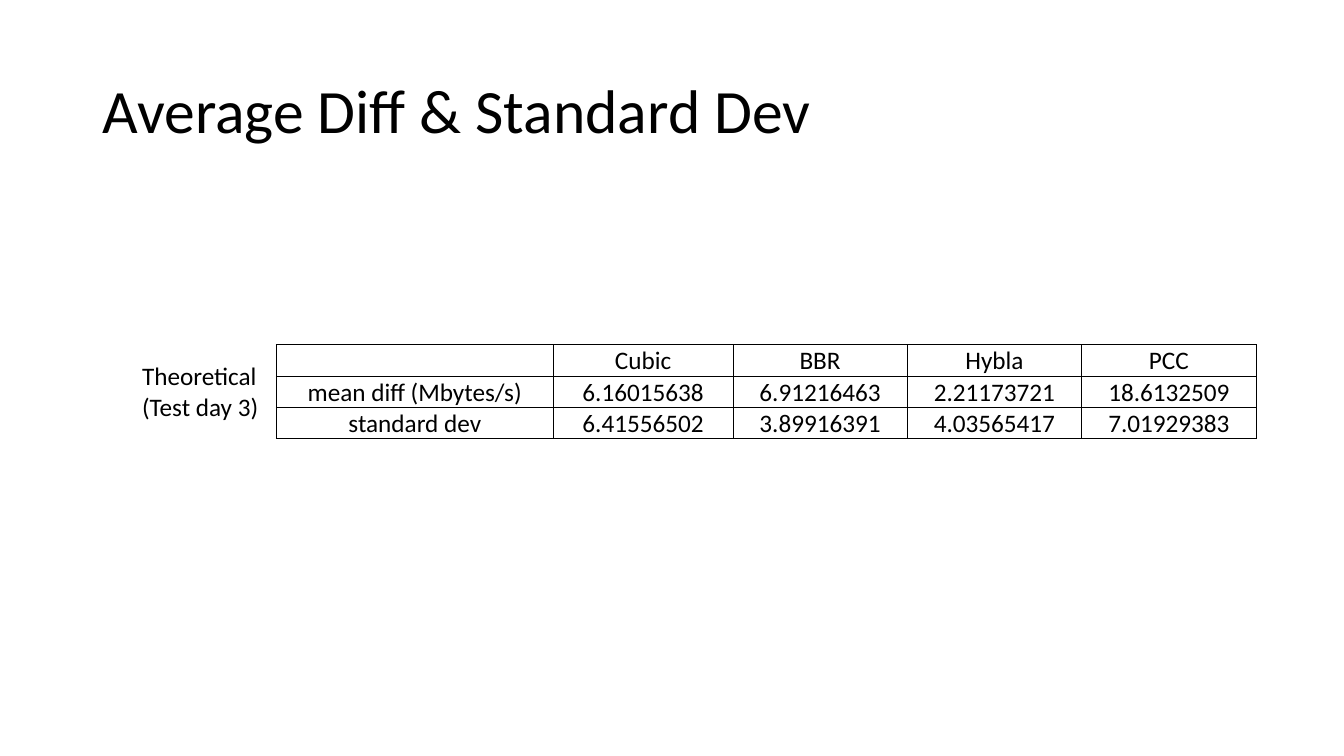
from pptx import Presentation
from pptx.dml.color import RGBColor as Rgb
from pptx.enum.text import MSO_ANCHOR as Anchor, PP_ALIGN as Align
from pptx.oxml import parse_xml
from pptx.oxml.ns import nsdecls
from pptx.util import Inches, Pt

HUES = {"ink": "000000", "back": "FFFFFF"}
FONT = "Calibri"


def write(frame, text, size=18, align=Align.LEFT, anchor=Anchor.TOP, lead=1.0):
    """Fill a text frame, one paragraph for each line of text."""
    frame.word_wrap = True
    frame.vertical_anchor = anchor
    frame.text = text
    for para in frame.paragraphs:
        para.alignment = align
        para.line_spacing = lead
        para.font.name = FONT
        para.font.size = Pt(size)
        para.font.bold = False
        para.font.color.rgb = Rgb.from_string(HUES["ink"])


def frame_cell(cell, width=0.5):
    """Draw a thin solid line on each side of a cell."""
    props = cell._tc.get_or_add_tcPr()
    for spot, side in enumerate("LRTB"):
        props.insert(spot, parse_xml(
            f'<a:ln{side} {nsdecls("a")} w="{Pt(width)}"><a:solidFill>'
            f'<a:srgbClr val="{HUES["ink"]}"/></a:solidFill></a:ln{side}>'))


class Page:
    """Hold the slide and place elements by percent of its size."""

    def __init__(self, deck):
        """Add a blank slide with a plain background."""
        self.wide, self.high = deck.slide_width, deck.slide_height
        self.slide = deck.slides.add_slide(deck.slide_layouts[6])
        fill = self.slide.background.fill
        fill.solid()
        fill.fore_color.rgb = Rgb.from_string(HUES["back"])

    def across(self, share):
        """Turn a percent of the width into a length."""
        return int(self.wide * share / 100)

    def down(self, share):
        """Turn a percent of the height into a length."""
        return int(self.high * share / 100)

    def text(self, words, left, top, width, height, **style):
        """Add a text box."""
        box = self.slide.shapes.add_textbox(
            self.across(left), self.down(top),
            self.across(width), self.down(height))
        write(box.text_frame, words, **style)

    def table(self, data, left, top, cols, row):
        """Add a ruled table with centred cells and equal rows."""
        grid = self.slide.shapes.add_table(
            len(data), len(cols), self.across(left), self.down(top),
            self.across(sum(cols)), self.down(row * len(data))).table
        grid.first_row = grid.horz_banding = False
        for col, share in zip(grid.columns, cols):
            col.width = self.across(share)
        for line, words in zip(grid.rows, data):
            line.height = self.down(row)
            for cell, word in zip(line.cells, words):
                write(cell.text_frame, word, align=Align.CENTER)
                cell.vertical_anchor = Anchor.BOTTOM
                cell.margin_left = cell.margin_right = Inches(0.01)
                cell.margin_top, cell.margin_bottom = Inches(0.01), 0
                cell.fill.background()
                frame_cell(cell)


deck = Presentation()
deck.slide_width, deck.slide_height = Inches(13.33), Inches(7.5)
page = Page(deck)

page.text("Average Diff & Standard Dev", 6.9, 5.33, 86.25, 19.33,
          size=44, anchor=Anchor.MIDDLE, lead=0.9)

stats = [
    ["", "Cubic", "BBR", "Hybla", "PCC"],
    ["mean diff (Mbytes/s)", "6.16015638", "6.91216463", "2.21173721", "18.6132509"],
    ["standard dev", "6.41556502", "3.89916391", "4.03565417", "7.01929383"],
]
page.table(stats, 20.55, 45.6, [20.63, 13.35] + [12.98] * 3, 4.15)
page.text("Theoretical\n(Test day 3)", 9.83, 47.07, 10.73, 9.47)

deck.save("out.pptx")
